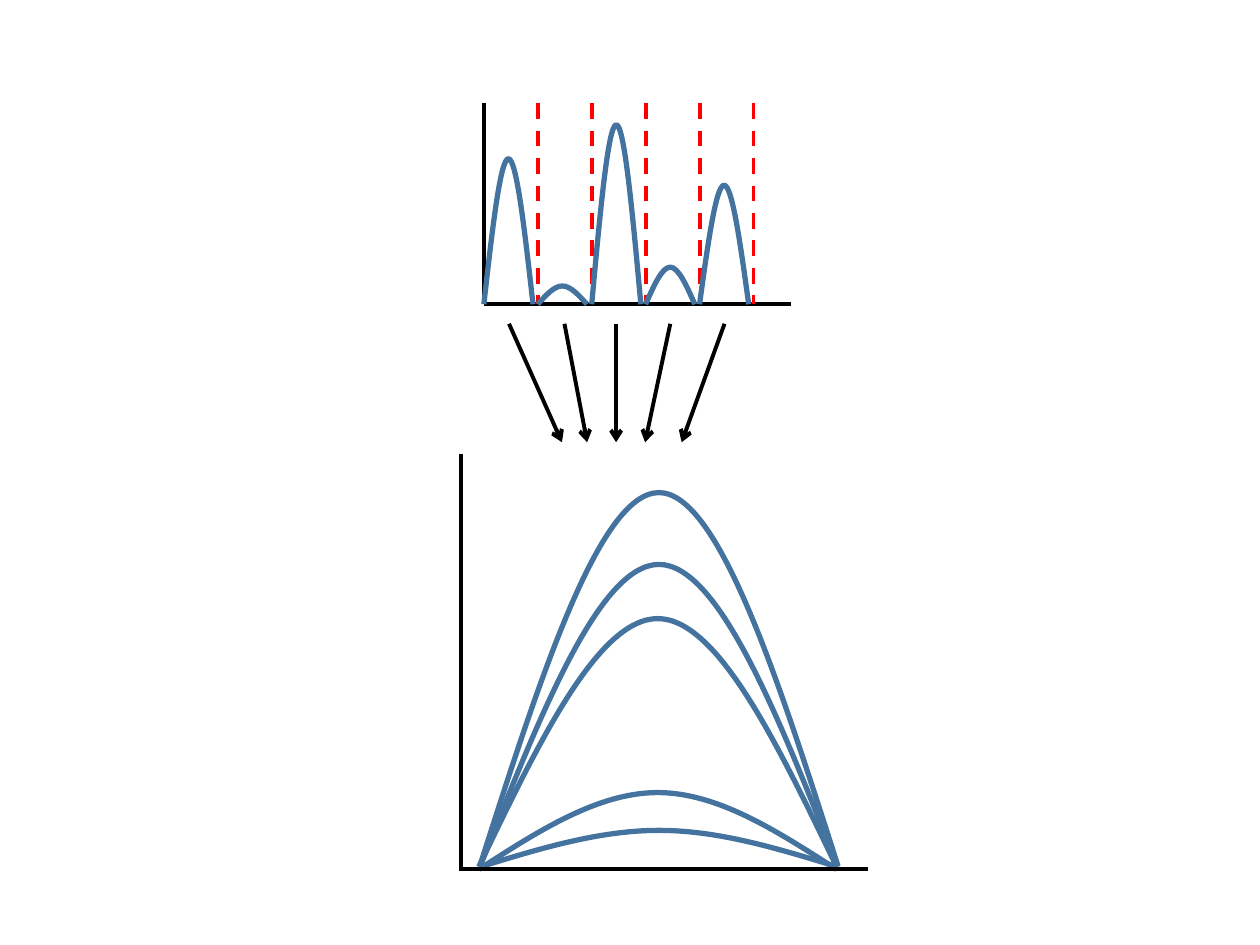
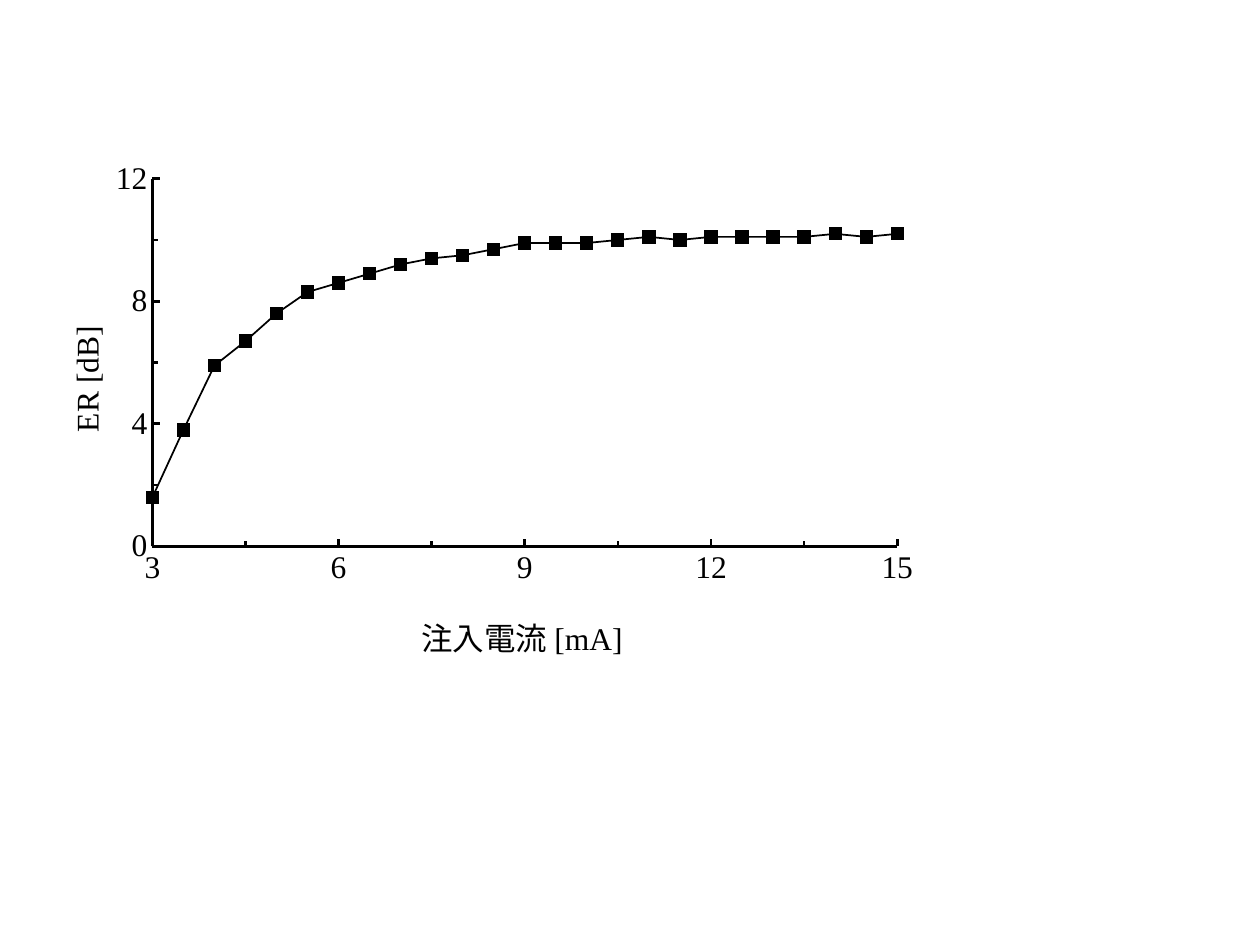
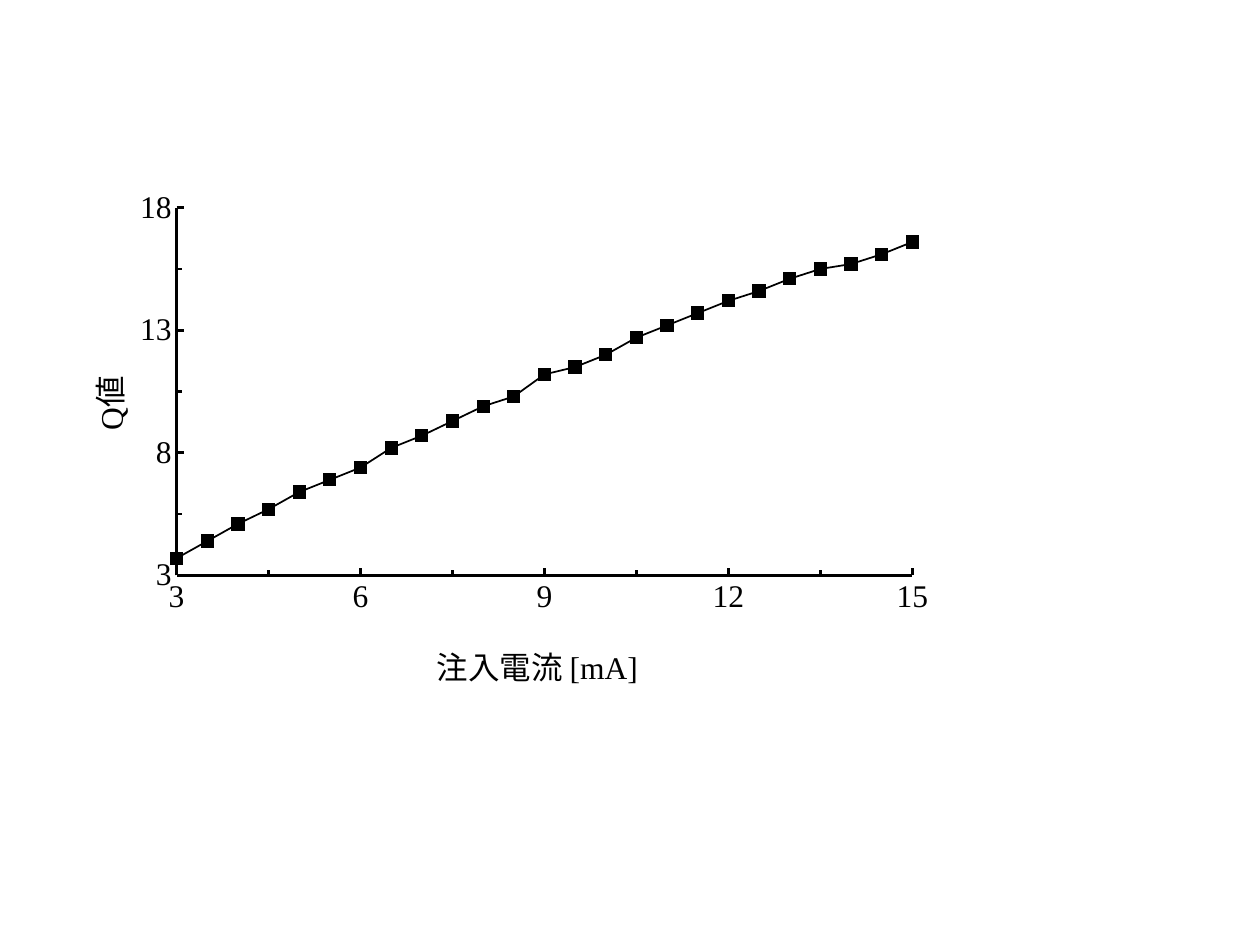
from pptx import Presentation
from pptx.chart.data import XyChartData
from pptx.dml.color import RGBColor as Rgb
from pptx.enum.chart import XL_AXIS_CROSSES as Cross
from pptx.enum.chart import XL_CHART_TYPE as Kind
from pptx.enum.chart import XL_MARKER_STYLE as Mark
from pptx.enum.chart import XL_TICK_MARK as Tick
from pptx.enum.dml import MSO_LINE_DASH_STYLE as Dash
from pptx.enum.shapes import MSO_CONNECTOR_TYPE as Link
from pptx.oxml import parse_xml
from pptx.oxml.ns import nsdecls, qn
from pptx.oxml.xmlchemy import OxmlElement as Node
from pptx.util import Inches, Pt

COLS, ROWS = 100, 75
INK = {"black": "000000", "blue": "43739E", "red": "FF0000"}
FONT = {"base": "Calibri", "text": "Times New Roman", "asian": "Noto Sans CJK JP"}
AXIS = {
    "has_major_gridlines": False,
    "has_minor_gridlines": False,
    "major_tick_mark": Tick.INSIDE,
    "minor_tick_mark": Tick.INSIDE,
    "crosses": Cross.MINIMUM,
}


def put(item, vals):
    for key, val in vals.items():
        setattr(item, key, val)


def place(mode, x, y, size=None):
    """Manual chart layout, in shares of the chart's size."""
    vals = {"xMode": "edge", "yMode": "edge", "x": x, "y": y}
    if size:
        vals = {"layoutTarget": "inner", **vals, "w": size[0], "h": size[1]}
    tags = "".join(f'<c:{k} val="{v}"/>' for k, v in vals.items())
    new = parse_xml(f'<c:layout {nsdecls("c")}><c:manualLayout>{tags}'
                    "</c:manualLayout></c:layout>")
    for old in mode.findall(qn("c:layout")):
        mode.remove(old)
    text = mode.find(qn("c:tx"))
    mode.insert(0 if text is None else 1, new)


class Deck:
    def __init__(self):
        self.prs = Presentation()
        put(self.prs, {"slide_width": Inches(10), "slide_height": Inches(7.5)})
        self.wide = self.prs.slide_width / COLS
        self.high = self.prs.slide_height / ROWS

    def page(self):
        self.slide = self.prs.slides.add_slide(self.prs.slide_layouts[6])
        self.home = self.slide.shapes

    def group(self):
        self.home = self.slide.shapes.add_group_shape().shapes

    def spot(self, col, row):
        return round(col * self.wide), round(row * self.high)

    def pen(self, line, ink, width):
        line.color.rgb = Rgb.from_string(INK[ink])
        line.width = Pt(width)

    def type(self, font, size, face):
        put(font, {"size": Pt(size), "name": FONT[face], "bold": False})
        font.color.rgb = Rgb.from_string(INK["black"])

    def line(self, start, end, ink="black", dash=None, arrow=False):
        rule = self.home.add_connector(
            Link.STRAIGHT, *self.spot(*start), *self.spot(*end))
        self.pen(rule.line, ink, 2.25)
        if dash:
            rule.line.dash_style = dash
        props = rule._element.spPr
        if arrow:
            tip = Node("a:tailEnd")
            tip.set("type", "arrow")
            props.find(qn("a:ln")).append(tip)
        props.append(Node("a:effectLst"))

    def arch(self, left, top, width, base):
        """Two mirrored Bezier arcs rising from base to top."""
        half = (top + base) / 2
        rows = (base, half, top, top, top, half, base)
        dots = [self.spot(left + width * i / 6, row) for i, row in enumerate(rows)]
        form = self.home.build_freeform(*dots[0])
        form.add_line_segments(dots[1:], close=False)
        shape = form.convert_to_shape()
        shape.shadow.inherit = False
        shape.fill.background()
        self.pen(shape.line, "blue", 3)
        # Turn each three straight steps into one cubic arc
        steps = list(shape._element.iter(qn("a:lnTo")))
        track = steps[0].getparent()
        for i in range(0, len(steps), 3):
            arc = Node("a:cubicBezTo")
            for step in steps[i:i + 3]:
                arc.append(step[0])
                track.remove(step)
            track.append(arc)

    def axis(self, axis, title, spot, low, top, unit, turn=0):
        put(axis, AXIS)
        put(axis, {"minimum_scale": low, "maximum_scale": top,
                   "major_unit": unit, "minor_unit": unit / 2})
        put(axis.tick_labels, {"number_format": "General",
                               "number_format_is_linked": False})
        self.type(axis.tick_labels.font, 18, "text")
        self.pen(axis.format.line, "black", 1.5)
        frame = axis.axis_title.text_frame
        frame._element.bodyPr.set("rot", str(turn * 60000))
        run = frame.paragraphs[0].add_run()
        run.text = title
        self.type(run.font, 18, "text")
        asian = Node("a:ea")
        asian.set("typeface", FONT["asian"])
        run.font._element.find(qn("a:latin")).addnext(asian)
        place(axis.axis_title._element, *spot)

    def plot(self, box, vals, inset, across, up):
        data = XyChartData()
        row = data.add_series("Series 1")
        for i, val in enumerate(vals, 1):
            row.add_data_point(i / 2, val)
        chart = self.home.add_chart(
            Kind.XY_SCATTER_LINES, *self.spot(*box[:2]), *self.spot(*box[2:]),
            data).chart
        put(chart, {"has_legend": False, "has_title": False})
        self.type(chart.font, 10, "base")
        self.axis(chart.category_axis, "注入電流 [mA]", across, 3, 15, 3)
        self.axis(chart.value_axis, *up, turn=-90)
        place(chart._chartSpace.chart.plotArea, inset, 0.05,
              (round(0.96 - inset, 2), 0.7))
        # Black line with square marks
        plot = chart.plots[0]
        plot.vary_by_categories = False
        line = plot.series[0]
        line.smooth = False
        self.pen(line.format.line, "black", 1)
        put(line.marker, {"style": Mark.SQUARE, "size": 7})
        look = line.marker.format
        look.fill.solid()
        look.fill.fore_color.rgb = Rgb.from_string(INK["black"])
        self.pen(look.line, "black", 0.75)


def pulses(deck):
    deck.page()
    left, base, pitch = 38.4, 24.15, 4.28
    # Upper graph: one pulse per slot
    deck.line((left, 8.2), (left, base))
    deck.line((left, base), (62.8, base))
    for i, top in enumerate((12.6, 22.7, 9.9, 21.2, 14.7)):
        deck.arch(left + i * pitch, top, 3.9, base)
        edge = left + (i + 1) * pitch
        deck.line((edge, 8.2), (edge, base), "red", Dash.DASH)
    # Arrows to the lower graph
    heads = (44.6, 46.6, 48.9, 51.2, 54.1)
    for start, end in zip((40.4, 44.8, 48.9, 53.2, 57.5), heads):
        deck.line((start, 25.7), (end, 35.1), arrow=True)
    # Lower graph: all pulses overlaid
    deck.group()
    deck.line((36.6, 36), (36.6, 69.1))
    for x, top, foot in ((38.1, 44.8, 68.8), (38.1, 65.9, 68.8),
                         (38.1, 39.1, 68.7), (38, 62.9, 69), (38, 49.1, 68.8)):
        deck.arch(x, top, 28.4, foot)
    deck.line((36.6, 69), (68.9, 69))


RATIO = (-4.3, -7, -6.5, -4.1, 0.5, 1.6, 3.8, 5.9, 6.7, 7.6, 8.3, 8.6, 8.9, 9.2,
         9.4, 9.5, 9.7, 9.9, 9.9, 9.9, 10, 10.1, 10, 10.1, 10.1, 10.1, 10.1,
         10.2, 10.1, 10.2, 10.2, 10.2)
GRADE = (1.3, 1.6, 2.1, 2.5, 3.3, 3.7, 4.4, 5.1, 5.7, 6.4, 6.9, 7.4, 8.2, 8.7,
         9.3, 9.9, 10.3, 11.2, 11.5, 12, 12.7, 13.2, 13.7, 14.2, 14.6, 15.1,
         15.5, 15.7, 16.1, 16.6, 16.9, 17.2)


def main():
    deck = Deck()
    pulses(deck)
    # Extinction ratio against current
    deck.page()
    deck.plot((2, 12.1, 72.1, 41.7), RATIO, 0.14, (0.43, 0.86),
              ("ER [dB]", (0.04, 0.32), 0, 12, 4))
    # Q value against current
    deck.page()
    deck.plot((3.2, 14.4, 72.1, 41.7), GRADE, 0.15, (0.43, 0.86),
              ("Q値", (0.04, 0.36), 3, 18, 5))
    deck.prs.save("out.pptx")


if __name__ == "__main__":
    main()
